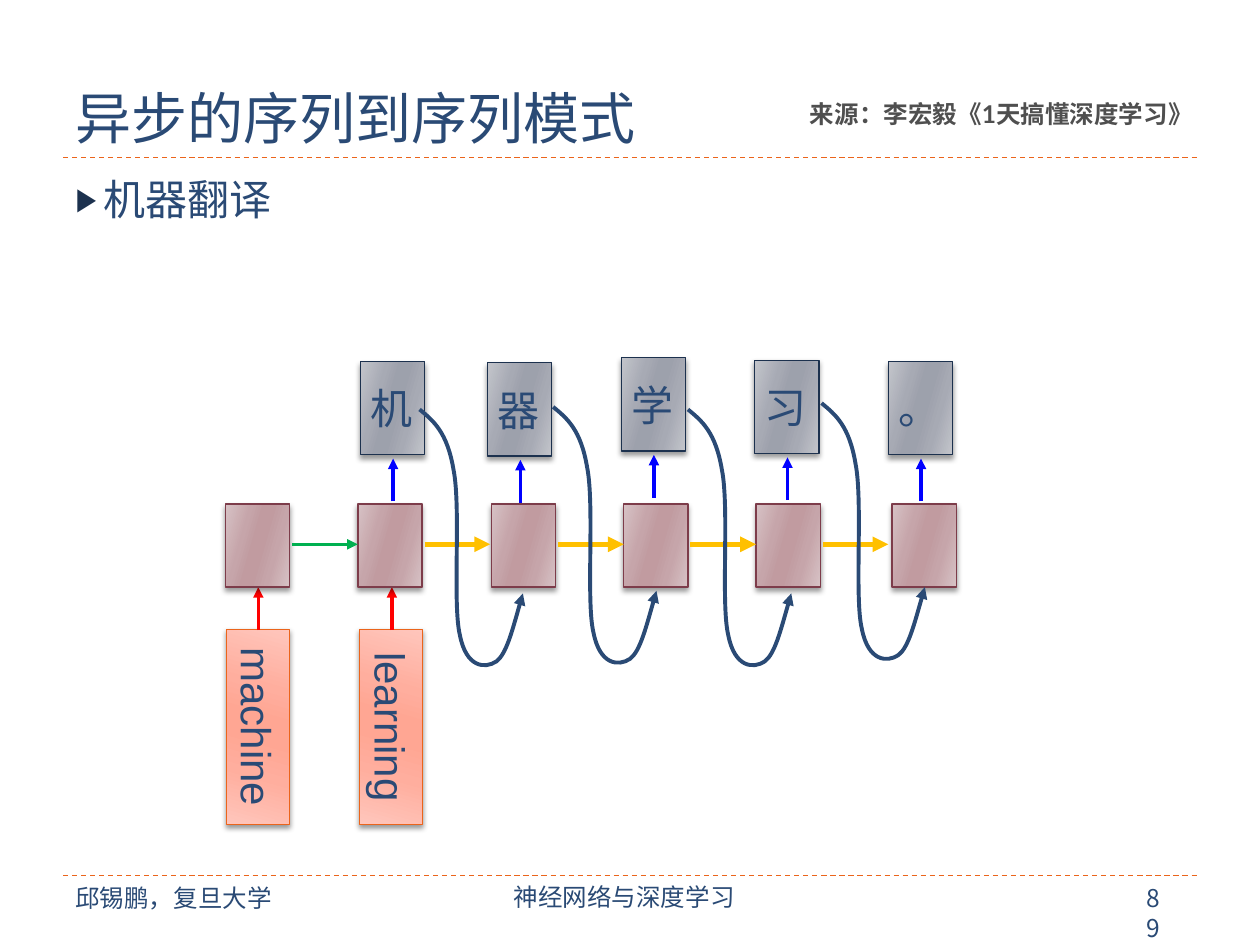
import pptx
import pptx.util
import pptx.dml.color
import pptx.enum.dml
import pptx.enum.shapes
import pptx.enum.text
import pptx.oxml
import pptx.oxml.ns
from lxml import etree

SCALE = 9144  # EMU per px, 100 px to the inch
COLOURS = {
    "navy": "2A4A75", "dark": "1C314E", "grey": "4F4F4F",
    "orange": "EB641B", "wine": "7D3C4A", "red": "FF0000",
    "blue": "0000FF", "green": "00B050", "gold": "FFC000",
}
SHADES = {  # edge, middle and centre of each gradient
    "word": ("FFC6BC", "FFAE9E", "FFA693"),
    "cell": ("D7C2C5", "C6A5AA", "C19BA0"),
    "out": ("C3C5CB", "A7AAB4", "9DA1AC"),
}
STOPS = ((0, 0), (30, 1), (45, 2), (55, 2), (73, 1), (100, 0))
CJK = "Noto Sans CJK SC"
ALIGN = pptx.enum.text.PP_ALIGN
CURVE = ((0, 0), (11, 9), (22, 18), (27, 48), (33, 78), (26, 154), (32, 179),
         (37, 205), (52, 206), (61, 200), (69, 194), (75, 170), (82, 146))


def px(*sizes):
    return [pptx.util.Emu(size * SCALE) for size in sizes]


def rgb(name):
    return pptx.dml.color.RGBColor.from_string(COLOURS[name])


def sub(parent, tag, **attrs):
    """Append a drawing element to parent."""
    return etree.SubElement(parent, pptx.oxml.ns.qn("a:" + tag), attrs)


class Deck:
    def __init__(self):
        self.prs = pptx.Presentation()
        self.prs.slide_width, self.prs.slide_height = px(1000, 750)
        self.slide = self.prs.slides.add_slide(self.prs.slide_layouts[1])
        self.shapes = self.slide.shapes

    def style(self, para, text, size, font, colour="navy", bold=False,
              align=ALIGN.LEFT):
        para.text = text
        para.alignment = align
        para.font.size = pptx.util.Pt(size)
        para.font.name = font
        para.font.bold = bold
        para.font.color.rgb = rgb(colour)

    def place(self, shape, box):
        shape.left, shape.top, shape.width, shape.height = px(*box)

    def title(self, text, box):
        shape = self.shapes.title
        self.place(shape, box)
        shape.text_frame.vertical_anchor = pptx.enum.text.MSO_ANCHOR.BOTTOM
        self.style(shape.text_frame.paragraphs[0], text, 32, CJK)

    def bullet(self, text, box):
        shape = self.slide.placeholders[1]
        self.place(shape, box)
        para = shape.text_frame.paragraphs[0]
        para.space_before = pptx.util.Pt(0)
        props = para._p.get_or_add_pPr()
        indent = 22 * SCALE
        props.set("marL", str(indent))
        props.set("indent", str(-indent))
        sub(sub(props, "buClr"), "srgbClr", val=COLOURS["dark"])
        sub(props, "buSzPct", val="76000")
        sub(props, "buChar", char="▶")
        self.style(para, text, 24, CJK)

    def text(self, text, box, size=14, font=CJK, **look):
        frame = self.shapes.add_textbox(*px(*box)).text_frame
        frame.word_wrap = True
        self.style(frame.paragraphs[0], text, size, font, **look)
        return frame

    def box(self, box, shade, line, turn=0):
        """Rectangle with a symmetric gradient and a soft shadow."""
        kind = pptx.enum.shapes.MSO_SHAPE.RECTANGLE
        shape = self.shapes.add_shape(kind, *px(*box))
        shape.rotation = turn
        shape.fill.gradient()
        shape.fill.gradient_angle = 344
        props = shape._element.spPr
        stops = props.find(".//" + pptx.oxml.ns.qn("a:gsLst"))
        for stop in list(stops):
            stops.remove(stop)
        for pos, tone in STOPS:
            stop = sub(stops, "gs", pos=str(pos * 1000))
            sub(stop, "srgbClr", val=SHADES[shade][tone])
        shape.line.color.rgb = rgb(line)
        shape.line.width = pptx.util.Pt(0.75)
        shape.shadow.inherit = False
        effects = props.find(pptx.oxml.ns.qn("a:effectLst"))
        shadow = sub(effects, "outerShdw", blurRad="38100", dist="25400",
                     dir="5400000", rotWithShape="0")
        sub(sub(shadow, "srgbClr", val="000000"), "alpha", val="40000")
        return shape

    def stroke(self, shape, colour, width, head):
        shape.line.color.rgb = rgb(colour)
        shape.line.width = pptx.util.Pt(width)
        if head:
            sub(shape.line._get_or_add_ln(), "tailEnd", type="triangle")

    def line(self, ends, colour, width=2, head=True):
        kind = pptx.enum.shapes.MSO_CONNECTOR.STRAIGHT
        shape = self.shapes.add_connector(kind, *px(*ends))
        self.stroke(shape, colour, width, head)
        sub(shape._element.spPr, "effectLst")
        return shape

    def rule(self, y):
        shape = self.line((50, y, 950, y), "orange", 0.75, head=False)
        shape.line.dash_style = pptx.enum.dml.MSO_LINE.DASH

    def curve(self, x, y):
        """Feedback arrow: every three points make one cubic segment."""
        points = [(x + dx, y + dy) for dx, dy in CURVE]
        form = self.shapes.build_freeform(*points[0], scale=SCALE)
        form.add_line_segments(points[1:], close=False)
        shape = form.convert_to_shape()
        track = shape._element.spPr.find(".//" + pptx.oxml.ns.qn("a:path"))
        legs = track.findall(pptx.oxml.ns.qn("a:lnTo"))
        for i in range(0, len(legs), 3):
            bend = sub(track, "cubicBezTo")
            for leg in legs[i:i + 3]:
                bend.append(leg[0])
                track.remove(leg)
        shape.fill.background()
        shape.shadow.inherit = False
        self.stroke(shape, "navy", 2.25, True)


def main():
    deck = Deck()
    deck.rule(125)
    deck.rule(695)
    foot = deck.text("神经网络与深度学习", (333, 696, 325, 40), font="Cambria",
                     align=ALIGN.CENTER)
    foot.margin_left, foot.margin_top = px(7, 4)
    foot.margin_right, foot.margin_bottom = px(7, 4)
    deck.text("邱锡鹏，复旦大学", (50, 696, 177, 34))
    deck.text("89", (900, 696, 41, 34))
    deck.title("异步的序列到序列模式", (50, 17, 900, 108))
    deck.bullet("机器翻译", (50, 133, 900, 540))

    for word, x in (("machine", 127), ("learning", 233)):
        shape = deck.box((x, 552, 155, 50), "word", "orange", turn=90)
        frame = shape.text_frame
        frame.vertical_anchor = pptx.enum.text.MSO_ANCHOR.TOP
        deck.style(frame.paragraphs[0], word, 24, "Arial",
                   align=ALIGN.CENTER)
        deck.line((x + 78, 500, x + 78, 466), "red")

    cells = (179, 284, 390, 495, 600, 708)
    for x in cells:
        deck.box((x, 400, 51, 66), "cell", "wine")
    for i, x in enumerate(cells[:-1]):
        colour, width = ("gold", 3) if i else ("green", 2)
        deck.line((x + 53, 432, x + 105, 432), colour, width)

    outs = (("机", 286, 287), ("器", 387, 288), ("学", 493, 284),
            ("习", 599, 286), ("。", 705, 287))
    for char, x, y in outs:
        deck.box((x, y, 51, 74), "out", "dark")
        deck.text(char, (x - 10, y + 12, 69, 50), 24, "Arial",
                  align=ALIGN.CENTER)
        deck.line((x + 26, y + 111, x + 26, y + 77), "blue")

    for x, y in ((333, 325), (439, 323), (546, 325), (652, 320)):
        deck.curve(x, y)
    deck.text("来源：李宏毅《1天搞懂深度学习》", (633, 74, 325, 34), font="Lato",
              colour="grey", bold=True)
    deck.prs.save("out.pptx")


if __name__ == "__main__":
    main()
